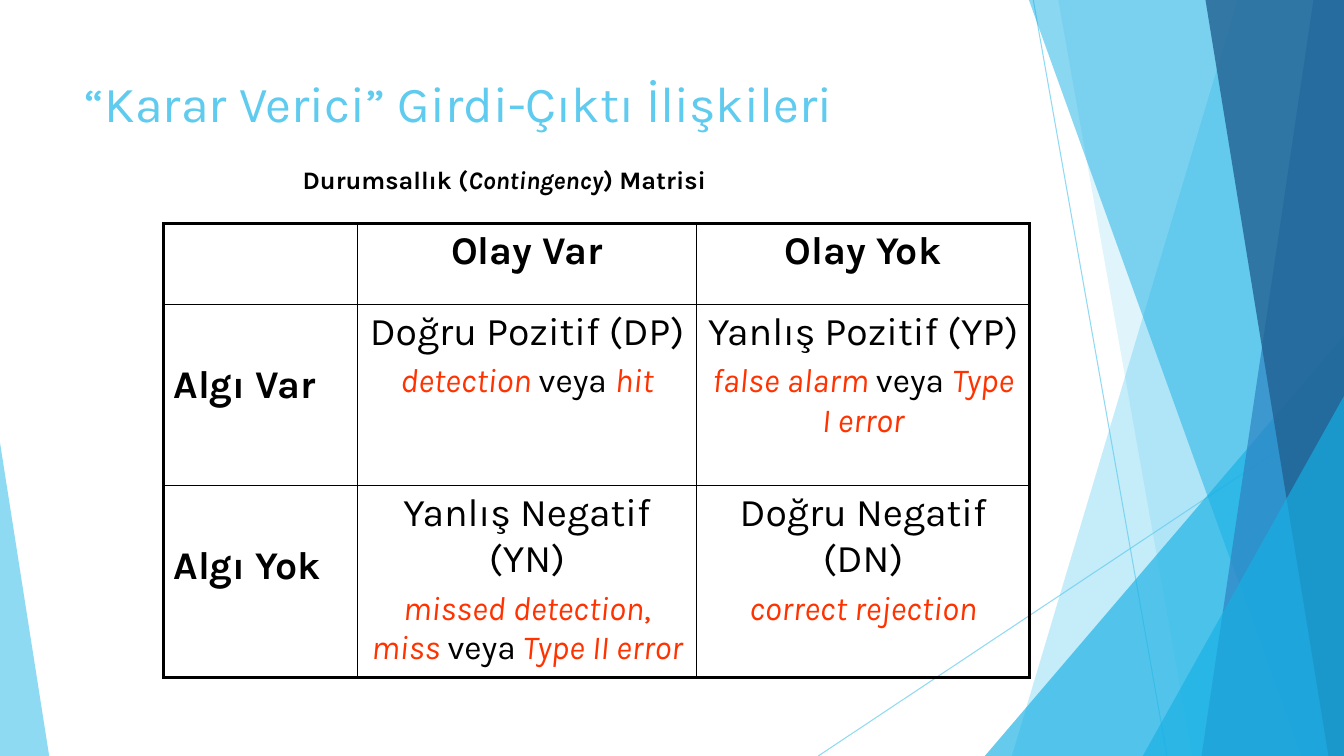
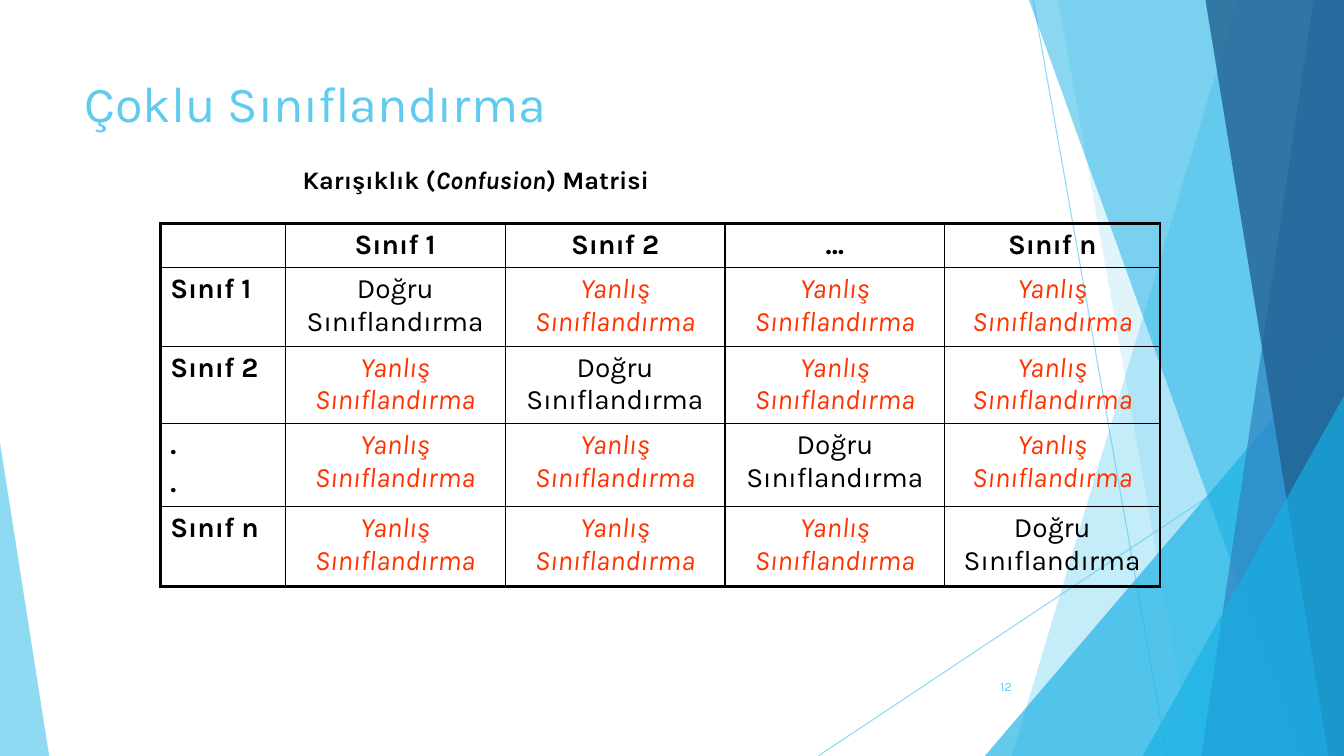
from dataclasses import dataclass, field

from lxml.etree import SubElement
from pptx import Presentation
from pptx.dml.color import RGBColor
from pptx.enum.shapes import MSO_CONNECTOR as Connector, MSO_SHAPE as Preset
from pptx.enum.text import MSO_ANCHOR as Anchor, PP_ALIGN as Align
from pptx.oxml import parse_xml
from pptx.oxml.ns import nsdecls, qn
from pptx.util import Cm, Pt


@dataclass(frozen=True)
class Theme:
    font: str = "Karla"
    sky: str = "5FCBEF"
    cyan: str = "17B0E4"
    blue: str = "2E83C3"
    navy: str = "226292"
    ink: str = "000000"
    accent: str = "FF3300"
    title_size: float = 36
    heading_size: float = 28
    detail_size: float = 24
    class_size: float = 20
    caption_size: float = 18
    number_size: float = 9
    hairline: float = 0.75
    inner_border: float = 1
    outer_border: float = 2.25
    paragraph_gap: float = 0.2


THEME = Theme()
WIDTH, HEIGHT = 33.87, 19.05


@dataclass(frozen=True)
class Span:
    text: str
    size: float
    color: str = THEME.ink
    bold: bool = False
    italic: bool = False


Lines = list[list[Span]]


@dataclass(frozen=True)
class Entry:
    lines: Lines = field(default_factory=list)
    align: Align = Align.CENTER
    top: float = 0.13


@dataclass(frozen=True)
class Matrix:
    left: float
    top: float
    columns: list[float]
    rows: list[float]
    entries: list[list[Entry]]


@dataclass(frozen=True)
class Ray:
    start: tuple[float, float]
    end: tuple[float, float]


@dataclass(frozen=True)
class Band:
    top_x: float
    bottom_x: float
    color: str
    opacity: int


@dataclass(frozen=True)
class Peak:
    left: float
    top: float
    width: float
    apex: float
    color: str
    opacity: int


RAYS = [Ray((26.04, 0), (29.41, HEIGHT)), Ray((WIDTH, 10.24), (20.62, HEIGHT))]
FACETS = [
    Band(31.19, 25.5, THEME.sky, 36),
    Band(26.67, 30.05, THEME.sky, 20),
    Peak(24.82, 8.46, 9.05, 1, THEME.cyan, 66),
    Band(25.93, 32.79, THEME.cyan, 50),
    Band(33.1, 30.28, THEME.blue, 70),
    Band(30.38, 33.48, THEME.navy, 80),
    Peak(28.8, 9.98, 5.07, 1, THEME.cyan, 66),
    Peak(0, 11.15, 1.24, 0, THEME.sky, 70),
]


def set_opacity(shape, percent: int) -> None:
    for color in shape._element.iter(qn("a:srgbClr")):
        SubElement(color, qn("a:alpha"), val=str(percent * 1000))


def draw_ray(slide, ray: Ray) -> None:
    line = slide.shapes.add_connector(
        Connector.STRAIGHT, *(Cm(v) for v in ray.start + ray.end)
    )
    line.line.color.rgb = RGBColor.from_string(THEME.sky)
    line.line.width = Pt(THEME.hairline)
    set_opacity(line, 70)
    SubElement(line._element.spPr, qn("a:effectLst"))


def draw_facet(slide, facet: Band | Peak) -> None:
    if isinstance(facet, Band):
        outline = slide.shapes.build_freeform(Cm(facet.top_x), 0)
        corners = [(WIDTH, 0), (WIDTH, HEIGHT), (facet.bottom_x, HEIGHT)]
        outline.add_line_segments([(Cm(x), Cm(y)) for x, y in corners])
        shape = outline.convert_to_shape()
    else:
        shape = slide.shapes.add_shape(
            Preset.ISOSCELES_TRIANGLE, Cm(facet.left), Cm(facet.top),
            Cm(facet.width), Cm(HEIGHT - facet.top),
        )
        shape.adjustments[0] = facet.apex
    shape.shadow.inherit = False
    shape.line.fill.background()
    shape.fill.solid()
    shape.fill.fore_color.rgb = RGBColor.from_string(facet.color)
    set_opacity(shape, facet.opacity)


def write(frame, lines: Lines, align: Align = Align.LEFT) -> None:
    for index, spans in enumerate(lines):
        paragraph = frame.add_paragraph() if index else frame.paragraphs[0]
        paragraph.alignment = align
        if index:
            paragraph.space_before = Pt(spans[0].size * THEME.paragraph_gap)
        for span in spans:
            run = paragraph.add_run()
            run.text = span.text
            run.font.name = THEME.font
            run.font.size = Pt(span.size)
            run.font.bold = span.bold
            run.font.italic = span.italic
            run.font.color.rgb = RGBColor.from_string(span.color)


def add_text(slide, left: float, top: float, width: float, height: float,
             spans: list[Span], align: Align = Align.LEFT,
             anchor: Anchor = Anchor.TOP) -> None:
    frame = slide.shapes.add_textbox(Cm(left), Cm(top), Cm(width), Cm(height)).text_frame
    frame.word_wrap = True
    frame.vertical_anchor = anchor
    write(frame, [spans], align)


def set_borders(cell, outer_sides: dict[str, bool]) -> None:
    properties = cell._tc.get_or_add_tcPr()
    for position, (side, outer) in enumerate(outer_sides.items()):
        width = Pt(THEME.outer_border if outer else THEME.inner_border)
        properties.insert(position, parse_xml(
            f'<a:ln{side} {nsdecls("a")} w="{width}"><a:solidFill>'
            f'<a:srgbClr val="{THEME.ink}"/></a:solidFill></a:ln{side}>'
        ))


def draw_matrix(slide, matrix: Matrix) -> None:
    table = slide.shapes.add_table(
        len(matrix.rows), len(matrix.columns), Cm(matrix.left), Cm(matrix.top),
        Cm(sum(matrix.columns)), Cm(sum(matrix.rows)),
    ).table
    table.first_row = table.horz_banding = False
    for column, width in zip(table.columns, matrix.columns):
        column.width = Cm(width)
    for row, height in zip(table.rows, matrix.rows):
        row.height = Cm(height)
    last_row, last_column = len(matrix.rows) - 1, len(matrix.columns) - 1
    for r, entries in enumerate(matrix.entries):
        for c, entry in enumerate(entries):
            cell = table.cell(r, c)
            cell.fill.background()
            cell.margin_top = Cm(entry.top)
            write(cell.text_frame, entry.lines, entry.align)
            set_borders(cell, {"L": c == 0, "R": c == last_column,
                               "T": r == 0, "B": r == last_row})


def heading(text: str) -> Entry:
    return Entry([[Span(text, THEME.heading_size, bold=True)]])


def perception(text: str) -> Entry:
    return Entry(heading(text).lines, Align.LEFT, 1.46)


def term(text: str) -> Span:
    return Span(text, THEME.detail_size, THEME.accent, italic=True)


def plain(text: str, color: str = THEME.ink) -> Span:
    return Span(text, THEME.detail_size, color)


def outcome(name: str, *details: Span) -> Entry:
    return Entry([[Span(name, THEME.heading_size)], list(details)])


def contingency_matrix() -> Matrix:
    return Matrix(4.12, 5.64, [4.88, 8.56, 8.38], [2.03, 4.57, 4.7], [
        [Entry(), heading("Olay Var"), heading("Olay Yok")],
        [
            perception("Algı Var"),
            outcome("Doğru Pozitif (DP)",
                    term("detection "), plain("veya "), term("hit")),
            outcome("Yanlış Pozitif (YP)",
                    term("false alarm "), plain("veya "), term("Type I error")),
        ],
        [
            perception("Algı Yok"),
            outcome("Yanlış Negatif (YN)",
                    term("missed detection"), plain(",", THEME.accent),
                    term(" miss "), plain("veya"), term(" Type II error")),
            outcome("Doğru Negatif (DN)", term("correct rejection")),
        ],
    ])


def class_label(*lines: str, align: Align = Align.LEFT) -> Entry:
    return Entry([[Span(t, THEME.class_size, bold=True)] for t in lines], align)


def classification(correct: bool) -> Entry:
    if correct:
        return Entry([[Span("Doğru Sınıflandırma", THEME.class_size)]])
    return Entry([[Span("Yanlış Sınıflandırma", THEME.class_size, THEME.accent, italic=True)]])


def confusion_matrix() -> Matrix:
    predicted = ["Sınıf 1", "Sınıf 2", "…", "Sınıf n"]
    actual = [("Sınıf 1",), ("Sınıf 2",), (".", "."), ("Sınıf n",)]
    header = [Entry()] + [class_label(name, align=Align.CENTER) for name in predicted]
    body = [
        [class_label(*names)] + [classification(r == c) for c in range(len(predicted))]
        for r, names in enumerate(actual)
    ]
    return Matrix(4.04, 5.64, [3.15, 5.54, 5.54, 5.54, 5.42],
                  [1.09, 1.98, 1.91, 2.04, 2.0], [header] + body)


def add_matrix_slide(deck, title: str, caption: tuple[str, str, str],
                     matrix: Matrix, number: str = "") -> None:
    slide = deck.slides.add_slide(deck.slide_layouts[6])
    for ray in RAYS:
        draw_ray(slide, ray)
    for facet in FACETS:
        draw_facet(slide, facet)
    if number:
        add_text(slide, 23.85, 16.79, 1.9, 1.01,
                 [Span(number, THEME.number_size, THEME.sky)], Align.RIGHT, Anchor.MIDDLE)
    add_text(slide, 1.88, 1.7, 23.88, 3.66, [Span(title, THEME.title_size, THEME.sky)])
    draw_matrix(slide, matrix)
    add_text(slide, 7.38, 4.01, 16, 1.2, [
        Span(text, THEME.caption_size, bold=True, italic=index == 1)
        for index, text in enumerate(caption)
    ])


def main() -> None:
    deck = Presentation()
    deck.slide_width, deck.slide_height = Cm(WIDTH), Cm(HEIGHT)
    add_matrix_slide(deck, "“Karar Verici” Girdi-Çıktı İlişkileri",
                     ("Durumsallık (", "Contingency", ") Matrisi"), contingency_matrix())
    add_matrix_slide(deck, "Çoklu Sınıflandırma",
                     ("Karışıklık (", "Confusion", ") Matrisi"), confusion_matrix(), "12")
    deck.save("out.pptx")


if __name__ == "__main__":
    main()
